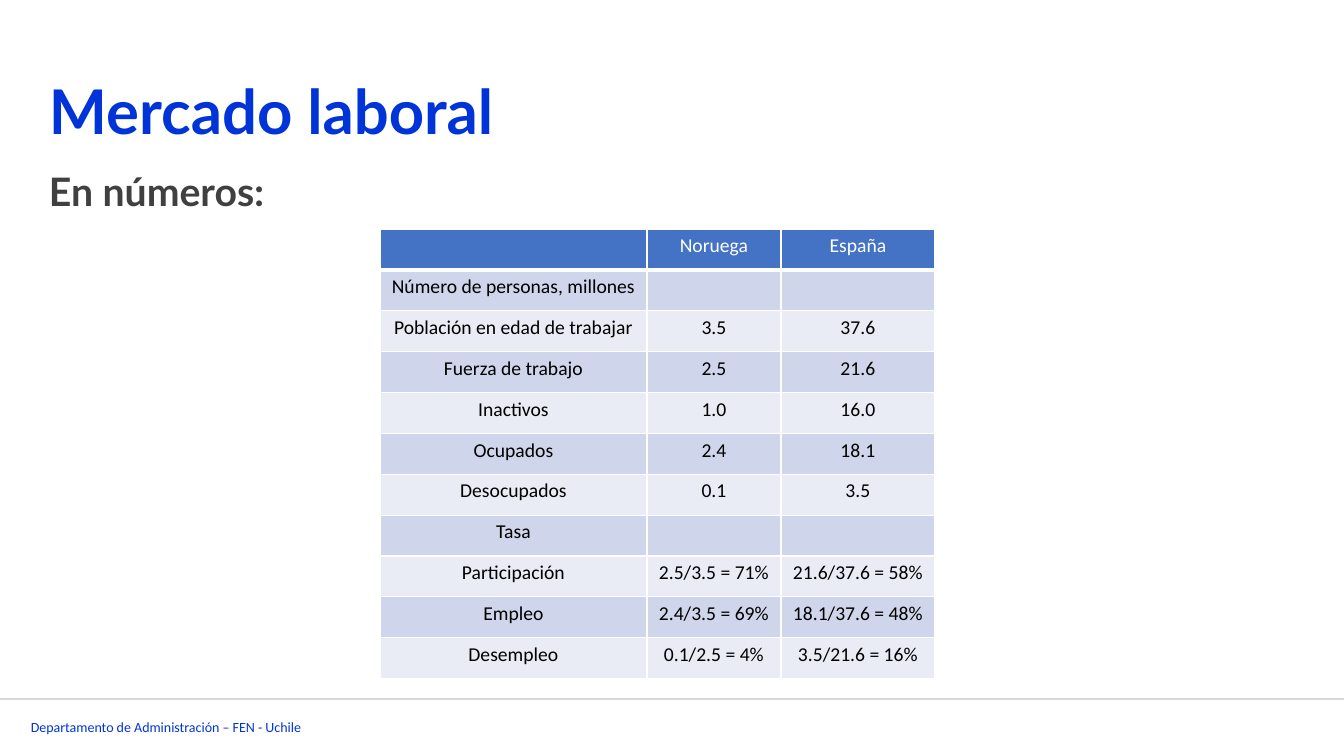
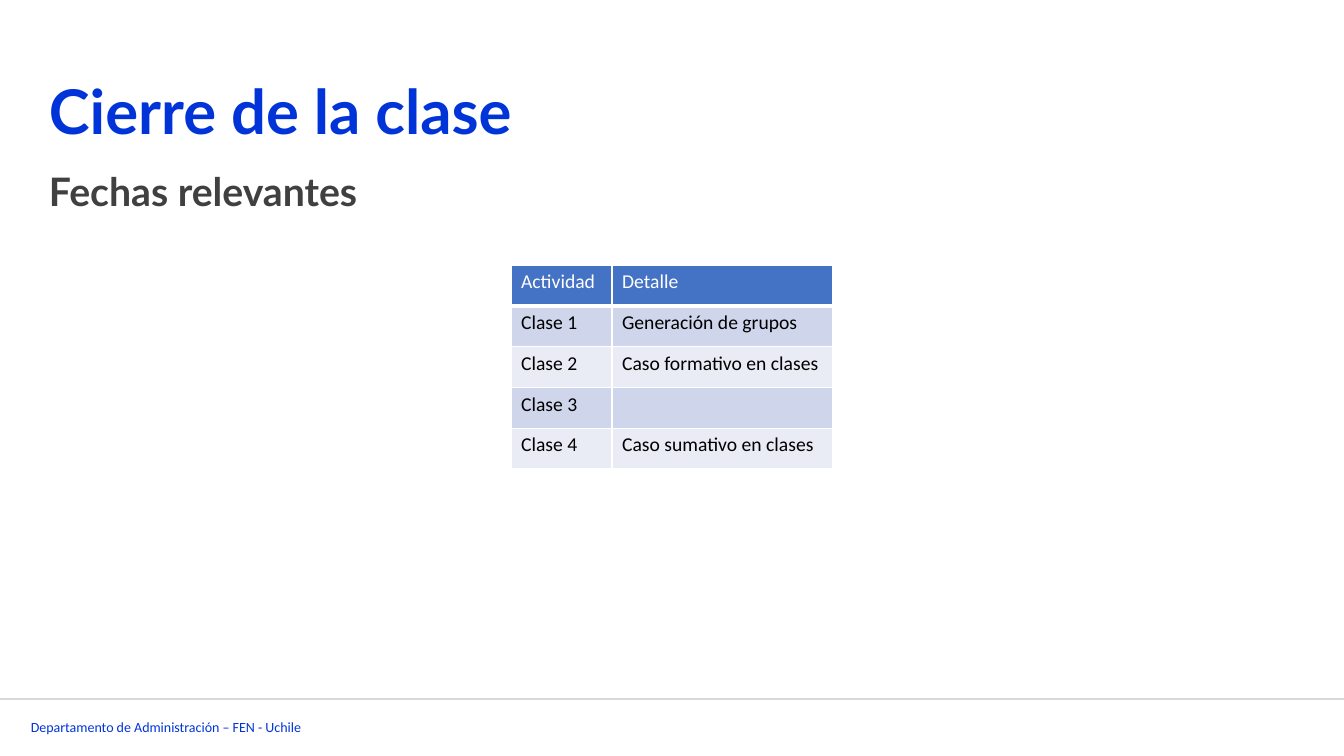
import pptx
import pptx.util
import pptx.dml.color
import pptx.enum.shapes
import pptx.enum.text
import pptx.oxml.ns
import lxml.etree

HUES = {
    "blue": "0034D9", "gray": "404040", "rule": "D9D9D9", "head": "4472C4",
    "dark": "CFD5EA", "light": "E9EBF5", "white": "FFFFFF", "black": "000000",
}
WIDE, HIGH = 1344, 756
LEFT = pptx.enum.text.PP_ALIGN.LEFT
MID = pptx.enum.text.PP_ALIGN.CENTER
TOP = pptx.enum.text.MSO_ANCHOR.TOP
HALF = pptx.enum.text.MSO_ANCHOR.MIDDLE
FOOT = "Departamento de Administración – FEN - Uchile"

# Table: left, top, height, column widths, alignment, rows
PAGES = [
    ("Mercado laboral", "En números:", (380, 229, 450, [267, 134, 154], MID, [
        ("", "Noruega", "España"),
        ("Número de personas, millones", "", ""),
        ("Población en edad de trabajar", "3.5", "37.6"),
        ("Fuerza de trabajo", "2.5", "21.6"),
        ("Inactivos", "1.0", "16.0"),
        ("Ocupados", "2.4", "18.1"),
        ("Desocupados", "0.1", "3.5"),
        ("Tasa", "", ""),
        ("Participación", "2.5/3.5 = 71%", "21.6/37.6 = 58%"),
        ("Empleo", "2.4/3.5 = 69%", "18.1/37.6 = 48%"),
        ("Desempleo", "0.1/2.5 = 4%", "3.5/21.6 = 16%"),
    ])),
    ("Cierre de la clase", "Fechas relevantes", (511, 265, 204, [101, 221], LEFT, [
        ("Actividad", "Detalle"),
        ("Clase 1", "Generación de grupos"),
        ("Clase 2", "Caso formativo en clases"),
        ("Clase 3", ""),
        ("Clase 4", "Caso sumativo en clases"),
    ])),
]


def px(num):
    """Turn pixels, at 100.8 to the inch, into EMU."""
    return pptx.util.Emu(round(num * 914400 / 100.8))


def write(frame, text, size=14, face="Calibri", hue="black", bold=False, align=LEFT):
    para = frame.paragraphs[0]
    para.alignment = align
    run = para.add_run()
    run.text = text
    font = run.font
    font.size = pptx.util.Pt(size)
    font.name = face
    font.bold = bold
    font.color.rgb = pptx.dml.color.RGBColor.from_string(HUES[hue])


deck = pptx.Presentation()
deck.slide_width, deck.slide_height = px(WIDE), px(HIGH)
qn = pptx.oxml.ns.qn

for title, sub, grid in PAGES:
    slide = deck.slides.add_slide(deck.slide_layouts[6])

    rule = slide.shapes.add_connector(
        pptx.enum.shapes.MSO_CONNECTOR.STRAIGHT, 0, px(699), px(WIDE), px(699))
    rule.line.color.rgb = pptx.dml.color.RGBColor.from_string(HUES["rule"])
    rule.line.width = pptx.util.Pt(0)
    lxml.etree.SubElement(rule.element.spPr, qn("a:effectLst"))

    for text, area, anchor, style in [
        (FOOT, (21, 714, 357, 27), TOP, {"size": 10, "hue": "blue"}),
        (title, (39, 57, 1216, 106), HALF,
         {"size": 44, "face": "Lato", "hue": "blue", "bold": True}),
        (sub, (39, 152, 919, 78), HALF,
         {"size": 28, "face": "Lato", "hue": "gray", "bold": True}),
    ]:
        frame = slide.shapes.add_textbox(*map(px, area)).text_frame
        frame.word_wrap = True
        frame.vertical_anchor = anchor
        write(frame, text, **style)

    left, top, high, cols, align, rows = grid
    table = slide.shapes.add_table(
        len(rows), len(cols), px(left), px(top), px(sum(cols)), px(high)).table
    for col, wide in zip(table.columns, cols):
        col.width = px(wide)
    for r, row in enumerate(rows):
        back = "head" if r == 0 else ("light", "dark")[r % 2]
        for c, text in enumerate(row):
            cell = table.cell(r, c)
            props = cell._tc.get_or_add_tcPr()
            for side in ("lnL", "lnR", "lnT", "lnB"):
                width = 3 if r == 0 and side == "lnB" else 1
                edge = lxml.etree.SubElement(
                    props, qn("a:" + side), w=str(pptx.util.Pt(width)))
                fill = lxml.etree.SubElement(edge, qn("a:solidFill"))
                lxml.etree.SubElement(fill, qn("a:srgbClr"), val=HUES["white"])
            cell.fill.solid()
            cell.fill.fore_color.rgb = pptx.dml.color.RGBColor.from_string(HUES[back])
            if text:
                write(cell.text_frame, text, align=align,
                      hue="white" if r == 0 else "black")

deck.save("out.pptx")
